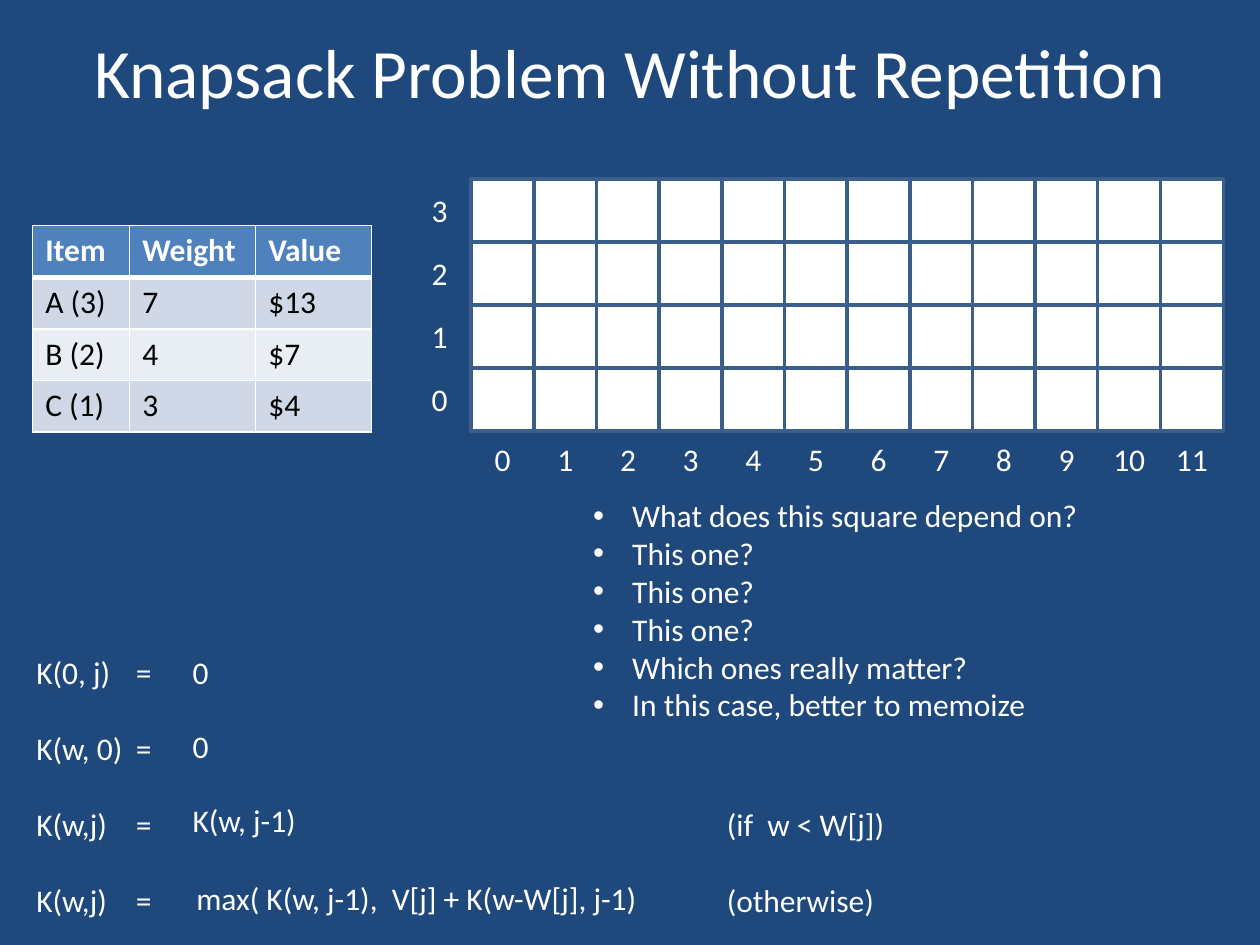
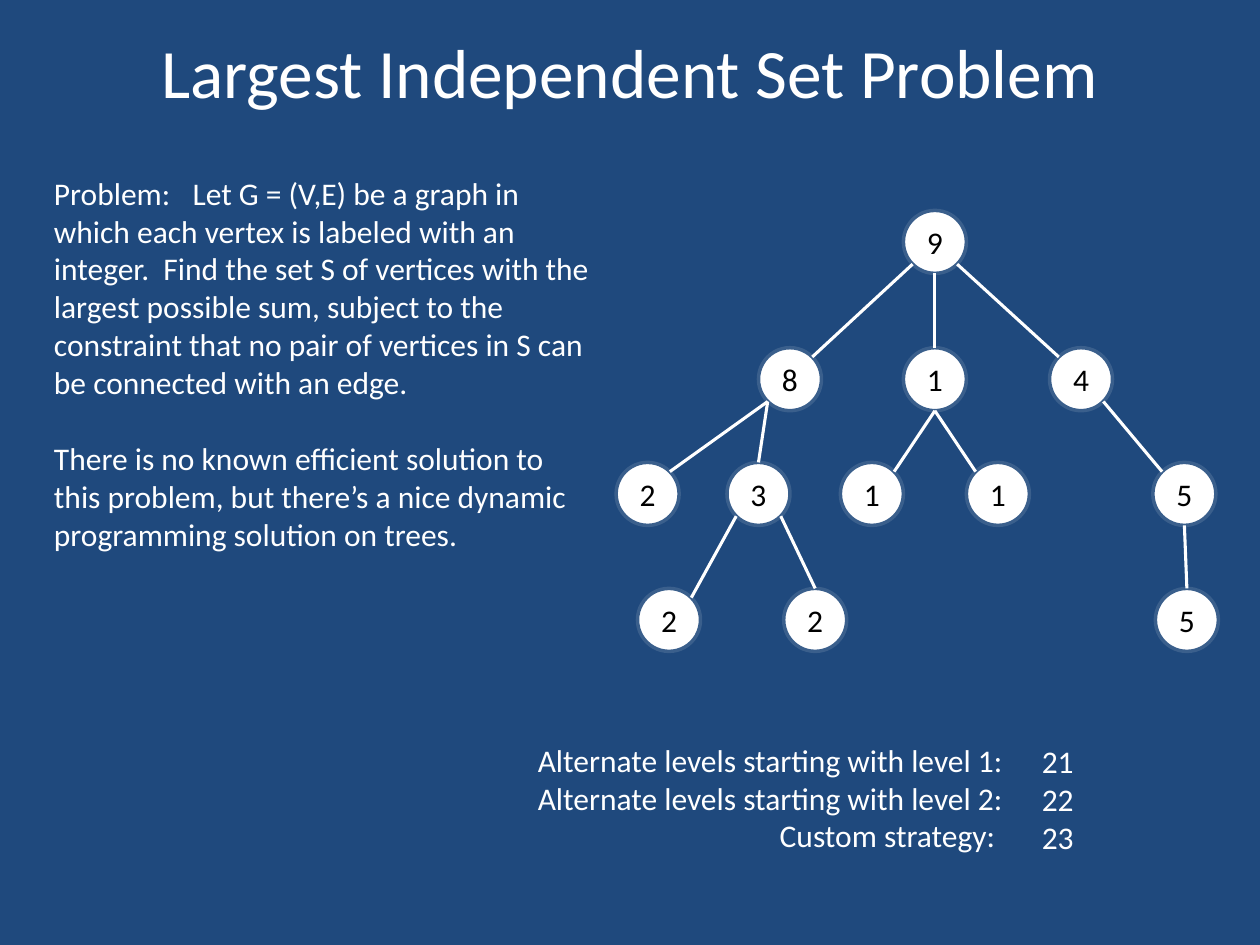
from pptx import Presentation
from pptx import util as u
from pptx.dml.color import RGBColor
from pptx.enum import shapes, text
from pptx.oxml import parse_xml
from pptx.oxml.ns import nsdecls
from lxml import etree

I = u.Inches
A = "http://schemas.openxmlformats.org/drawingml/2006/main"
COLORS = {
    "navy": "1F497D",
    "white": "FFFFFF",
    "black": "000000",
    "outline": "3A5F8C",
    "header": "4F81BD",
    "odd_row": "D0D8E8",
    "even_row": "E9EDF4",
}
FONT, BODY, TITLE, LINE_GAP = "Calibri", 18, 39.6, 22
CENTER = {"align": text.PP_ALIGN.CENTER, "anchor": text.MSO_ANCHOR.MIDDLE}
CELL = 0.5


def rgb(name):
    return RGBColor.from_string(COLORS[name])


def add_element(parent, xml):
    parent.append(parse_xml(xml.replace("/>", f" {nsdecls('a')}/>", 1)))


class Deck:
    """Shared style plus the slide being drawn."""

    def __init__(self):
        self.prs = Presentation()
        self.prs.slide_width, self.prs.slide_height = I(10), I(7.5)
        self.s = None

    def slide(self, title):
        self.s = self.prs.slides.add_slide(self.prs.slide_layouts[6])
        fill = self.s.background.fill
        fill.solid()
        fill.fore_color.rgb = rgb("navy")
        self.text((0.5, 0.17, 9, 0.78), [title], size=TITLE, **CENTER)

    def run(self, p, content, size=BODY, color="white", bold=False):
        r = p.add_run()
        r.text = content
        formats = {"name": FONT, "size": u.Pt(size), "bold": bold}
        for name, value in formats.items():
            setattr(r.font, name, value)
        r.font.color.rgb = rgb(color)

    def text(self, box, lines, wrap=True, gap=0, align=None, anchor=None,
             bullets=False, indents=(), tabs=(), **style):
        """Text box; gap is the space in points between paragraphs."""
        tf = self.s.shapes.add_textbox(*map(I, box)).text_frame
        tf.word_wrap = wrap
        if anchor is not None:
            tf.vertical_anchor = anchor
        for i, line in enumerate(lines):
            p = tf.paragraphs[0] if i == 0 else tf.add_paragraph()
            pPr = p._p.get_or_add_pPr()
            if bullets:
                pPr.set("marL", str(I(0.31)))
                pPr.set("indent", str(-I(0.31)))
                add_element(pPr, '<a:buFont typeface="Arial"/>')
                add_element(pPr, '<a:buChar char="•"/>')
            elif i < len(indents):
                pPr.set("marL", str(I(indents[i])))
            if tabs:
                stops = etree.SubElement(pPr, f"{{{A}}}tabLst")
                for tab in tabs:
                    add_element(stops, f'<a:tab pos="{I(tab)}" algn="l"/>')
            if gap and i:
                p.space_before = u.Pt(gap)
            if align is not None:
                p.alignment = align
            self.run(p, line, **style)

    def shape(self, kind, left, top, label=""):
        """White square or circle of the common size."""
        sp = self.s.shapes.add_shape(kind, I(left), I(top), I(CELL), I(CELL))
        sp.shadow.inherit = False
        sp.fill.solid()
        sp.fill.fore_color.rgb = rgb("white")
        sp.line.color.rgb = rgb("outline")
        sp.line.width = u.Pt(2)
        if label:
            tf = sp.text_frame
            tf.vertical_anchor = CENTER["anchor"]
            tf.margin_left = tf.margin_right = 0
            tf.paragraphs[0].alignment = CENTER["align"]
            self.run(tf.paragraphs[0], label, color="black")

    def line(self, start, end):
        c = self.s.shapes.add_connector(
            shapes.MSO_CONNECTOR.STRAIGHT, *map(I, (*start, *end)))
        c.line.color.rgb = rgb("white")
        c.line.width = u.Pt(1.75)
        etree.SubElement(c._element.spPr, f"{{{A}}}effectLst")

    def borders(self, cell, bottom):
        tcPr = cell._tc.get_or_add_tcPr()
        for i, side in enumerate(("lnL", "lnR", "lnT", "lnB")):
            width = u.Pt(bottom if side == "lnB" else 1)
            tcPr.insert(i, parse_xml(
                f'<a:{side} {nsdecls("a")} w="{width}"><a:solidFill>'
                f'<a:srgbClr val="{COLORS["white"]}"/></a:solidFill></a:{side}>'))

    def table(self, left, top, widths, row_height, rows):
        table = self.s.shapes.add_table(
            len(rows), len(widths), I(left), I(top),
            I(sum(widths)), I(row_height * len(rows))).table
        for column, width in zip(table.columns, widths):
            column.width = I(width)
        for i, row in enumerate(rows):
            table.rows[i].height = I(row_height)
            header = i == 0
            fill = "header" if header else "odd_row" if i % 2 else "even_row"
            for j, value in enumerate(row):
                cell = table.cell(i, j)
                cell.fill.solid()
                cell.fill.fore_color.rgb = rgb(fill)
                self.borders(cell, bottom=3 if header else 1)
                self.run(cell.text_frame.paragraphs[0], value, bold=header,
                         color="white" if header else "black")


def knapsack(d):
    d.slide("Knapsack Problem Without Repetition")
    d.table(0.26, 1.79, (0.77, 1, 0.92), 0.41, [
        ("Item", "Weight", "Value"),
        ("A (3)", "7", "$13"),
        ("B (2)", "4", "$7"),
        ("C (1)", "3", "$4"),
    ])

    left, right, top = 3.74, 9.21, 1.42
    columns, rows = 12, 4
    pitch = (right - left) / (columns - 1)
    xs = [left + pitch * i for i in range(columns)]
    ys = [top + CELL * i for i in range(rows)]
    for y in ys:
        for x in xs:
            d.shape(shapes.MSO_SHAPE.RECTANGLE, x, y)
    for weight, x in enumerate(xs):
        d.text((x, 3.39, CELL, CELL), [str(weight)], **CENTER)
    for item, y in enumerate(reversed(ys)):
        d.text((left - CELL, y, CELL, CELL), [str(item)], **CENTER)

    d.text((4.61, 3.89, 4.1, 1.92), [
        "What does this square depend on?",
        "This one?",
        "This one?",
        "This one?",
        "Which ones really matter?",
        "In this case, better to memoize",
    ], wrap=False, bullets=True)

    d.text((0.19, 5.13, 7.17, 2.3), [
        "K(0, j)\t=",
        "K(w, 0)\t=",
        "K(w,j)\t=\t(if  w < W[j])",
        "K(w,j)\t=\t(otherwise)",
    ], gap=LINE_GAP, tabs=(0.79, 5.48))
    for x, y, width, result in (
        (1.43, 5.13, 0.33, "0"),
        (1.43, 5.72, 0.33, "0"),
        (1.43, 6.31, 1.03, "K(w, j-1)"),
        (1.46, 6.93, 3.74, "max( K(w, j-1),  V[j] + K(w-W[j], j-1)"),
    ):
        d.text((x, y, width, 0.4), [result], wrap=False)


def independent_set(d):
    d.slide("Largest Independent Set Problem")
    d.text((0.33, 1.33, 4.49, 3.13), [
        "Problem:\tLet G = (V,E) be a graph in which each vertex is labeled "
        "with an integer.  Find the set S of vertices with the largest "
        "possible sum, subject to the constraint that no pair of vertices "
        "in S can be connected with an edge.",
        "There is no known efficient solution to this problem, but there’s "
        "a nice dynamic programming solution on trees.",
    ], gap=LINE_GAP, tabs=(1.1,))

    level_tops = (1.67, 2.76, 3.67, 4.67)
    # name: label, level, centre x
    nodes = {
        "root": ("9", 0, 7.42),
        "left": ("8", 1, 6.27),
        "mid": ("1", 1, 7.42),
        "right": ("4", 1, 8.58),
        "left_a": ("2", 2, 5.14),
        "left_b": ("3", 2, 6.02),
        "mid_a": ("1", 2, 6.92),
        "mid_b": ("1", 2, 7.92),
        "right_a": ("5", 2, 9.4),
        "leaf_a": ("2", 3, 5.31),
        "leaf_b": ("2", 3, 6.47),
        "leaf_c": ("5", 3, 9.42),
    }
    radius = CELL / 2
    for label, level, x in nodes.values():
        d.shape(shapes.MSO_SHAPE.OVAL, x - radius, level_tops[level], label)

    diagonal = radius / 2 ** 0.5
    sites = {
        "N": (0, -radius), "S": (0, radius),
        "NW": (-diagonal, -diagonal), "NE": (diagonal, -diagonal),
        "SW": (-diagonal, diagonal), "SE": (diagonal, diagonal),
    }

    def rim(name, site):
        """Point on a node's circle in the given compass direction."""
        _, level, x = nodes[name]
        dx, dy = sites[site]
        return x + dx, level_tops[level] + radius + dy

    for parent, out, child, into in (
        ("root", "SW", "left", "NE"),
        ("root", "SE", "right", "NW"),
        ("root", "S", "mid", "N"),
        ("left", "SW", "left_a", "NE"),
        ("left", "SW", "left_b", "N"),
        ("mid", "S", "mid_a", "NE"),
        ("mid", "S", "mid_b", "NW"),
        ("right", "SE", "right_a", "NW"),
        ("left_b", "SW", "leaf_a", "NE"),
        ("left_b", "SE", "leaf_b", "N"),
        ("right_a", "S", "leaf_c", "N"),
    ):
        d.line(rim(parent, out), rim(child, into))

    d.text((4.17, 5.83, 4, 1.01), [
        "Alternate levels starting with level 1:",
        "Alternate levels starting with level 2:",
        "Custom strategy:",
    ], indents=(0, 0, 1.92))
    d.text((8.17, 5.84, 0.46, 1.01), ["21", "22", "23"], wrap=False)


def main():
    d = Deck()
    knapsack(d)
    independent_set(d)
    d.prs.save("out.pptx")


if __name__ == "__main__":
    main()
